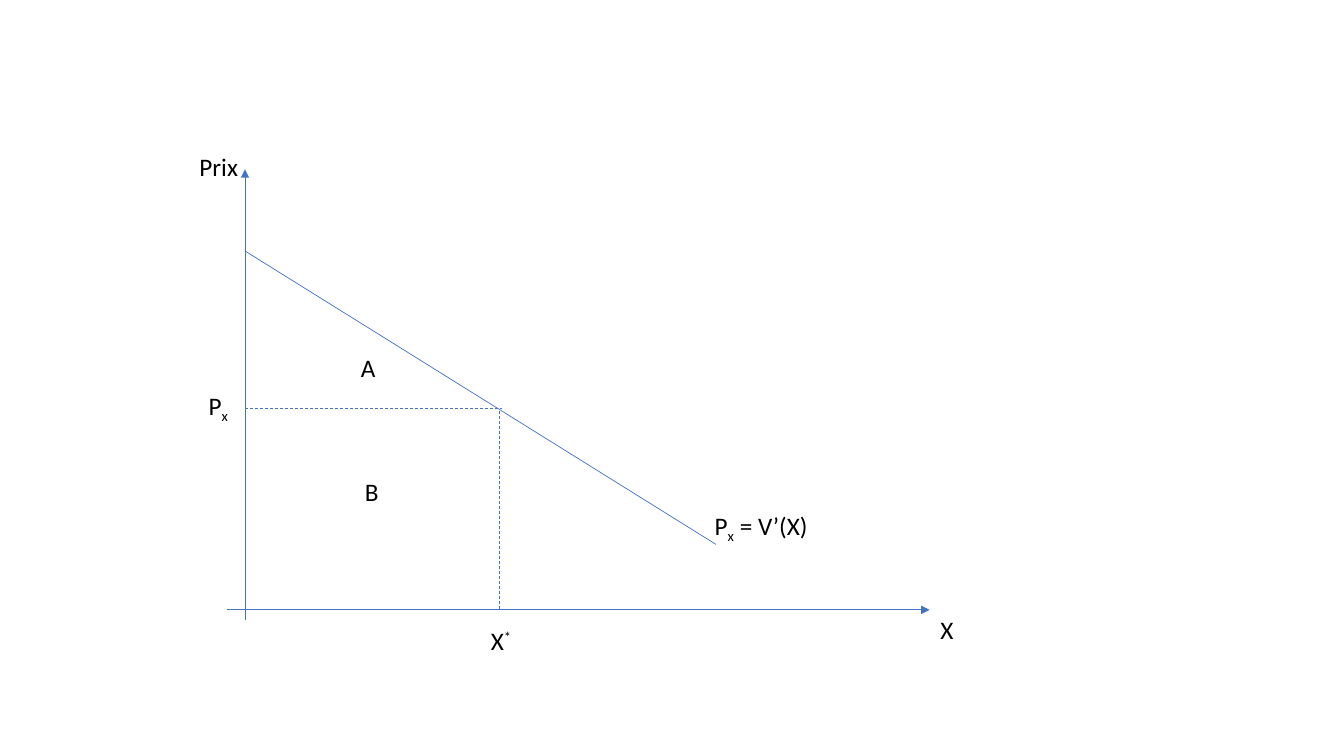
from dataclasses import dataclass

from lxml.etree import SubElement
from pptx import Presentation
from pptx.dml.color import RGBColor
from pptx.enum.dml import MSO_LINE_DASH_STYLE as Dash
from pptx.enum.shapes import MSO_CONNECTOR as Connector
from pptx.enum.text import MSO_AUTO_SIZE as AutoSize
from pptx.oxml.ns import qn
from pptx.slide import Slide
from pptx.util import Inches, Pt


@dataclass(frozen=True)
class Theme:
    font: str = "Calibri"
    text_size: float = 18
    text_color: RGBColor = RGBColor(0x00, 0x00, 0x00)
    line_color: RGBColor = RGBColor(0x44, 0x72, 0xC4)
    line_width: float = 0.5
    label_height: float = 0.4


@dataclass(frozen=True)
class Segment:
    start: tuple[float, float]
    end: tuple[float, float]
    arrow: bool = False
    dashed: bool = False


@dataclass(frozen=True)
class Span:
    text: str
    baseline: int = 0  # percent: negative for subscript, positive for superscript


@dataclass(frozen=True)
class Label:
    left: float
    top: float
    width: float
    spans: tuple[Span, ...]


THEME = Theme()
AXIS_X, AXIS_Y = 2.43, 6.05
OPTIMUM_X, PRICE_Y = 4.95, 4.05
P_X = (Span("P"), Span("x", -25))

SEGMENTS = (
    Segment((AXIS_X, 6.15), (AXIS_X, 1.68), arrow=True),
    Segment((2.25, AXIS_Y), (9.22, AXIS_Y), arrow=True),
    Segment((AXIS_X, 2.49), (7.1, 5.4)),
    Segment((AXIS_X, PRICE_Y), (4.98, PRICE_Y), dashed=True),
    Segment((OPTIMUM_X, 4.08), (OPTIMUM_X, AXIS_Y), dashed=True),
)

LABELS = (
    Label(9.23, 6.05, 0.33, (Span("X"),)),
    Label(1.88, 1.45, 0.59, (Span("Prix"),)),
    Label(6.99, 5.01, 1.15, (*P_X, Span(" = V’(X)"))),
    Label(4.77, 6.15, 0.42, (Span("X"), Span("*", 30))),
    Label(1.97, 3.82, 0.41, P_X),
    Label(3.52, 4.68, 0.34, (Span("B"),)),
    Label(3.48, 3.45, 0.35, (Span("A"),)),
)


def draw_segment(page: Slide, segment: Segment) -> None:
    points = (Inches(value) for value in (*segment.start, *segment.end))
    connector = page.shapes.add_connector(Connector.STRAIGHT, *points)
    line = connector.line
    line.color.rgb = THEME.line_color
    line.width = Pt(THEME.line_width)
    if segment.dashed:
        line.dash_style = Dash.DASH
    properties = connector._element.spPr
    if segment.arrow:
        SubElement(properties.find(qn("a:ln")), qn("a:tailEnd"), type="triangle")
    SubElement(properties, qn("a:effectLst"))


def draw_label(page: Slide, label: Label) -> None:
    box = page.shapes.add_textbox(
        Inches(label.left), Inches(label.top),
        Inches(label.width), Inches(THEME.label_height),
    )
    frame = box.text_frame
    frame.word_wrap = False
    frame.auto_size = AutoSize.SHAPE_TO_FIT_TEXT
    para = frame.paragraphs[0]
    for span in label.spans:
        run = para.add_run()
        run.text = span.text
        run.font.name = THEME.font
        run.font.size = Pt(THEME.text_size)
        run.font.color.rgb = THEME.text_color
        if span.baseline:
            run._r.get_or_add_rPr().set("baseline", str(span.baseline * 1000))


def main() -> None:
    deck = Presentation()
    deck.slide_width, deck.slide_height = Inches(13.33), Inches(7.5)
    blank_layout = deck.slide_layouts[6]
    page = deck.slides.add_slide(blank_layout)
    for segment in SEGMENTS:
        draw_segment(page, segment)
    for label in LABELS:
        draw_label(page, label)
    deck.save("out.pptx")


if __name__ == "__main__":
    main()
